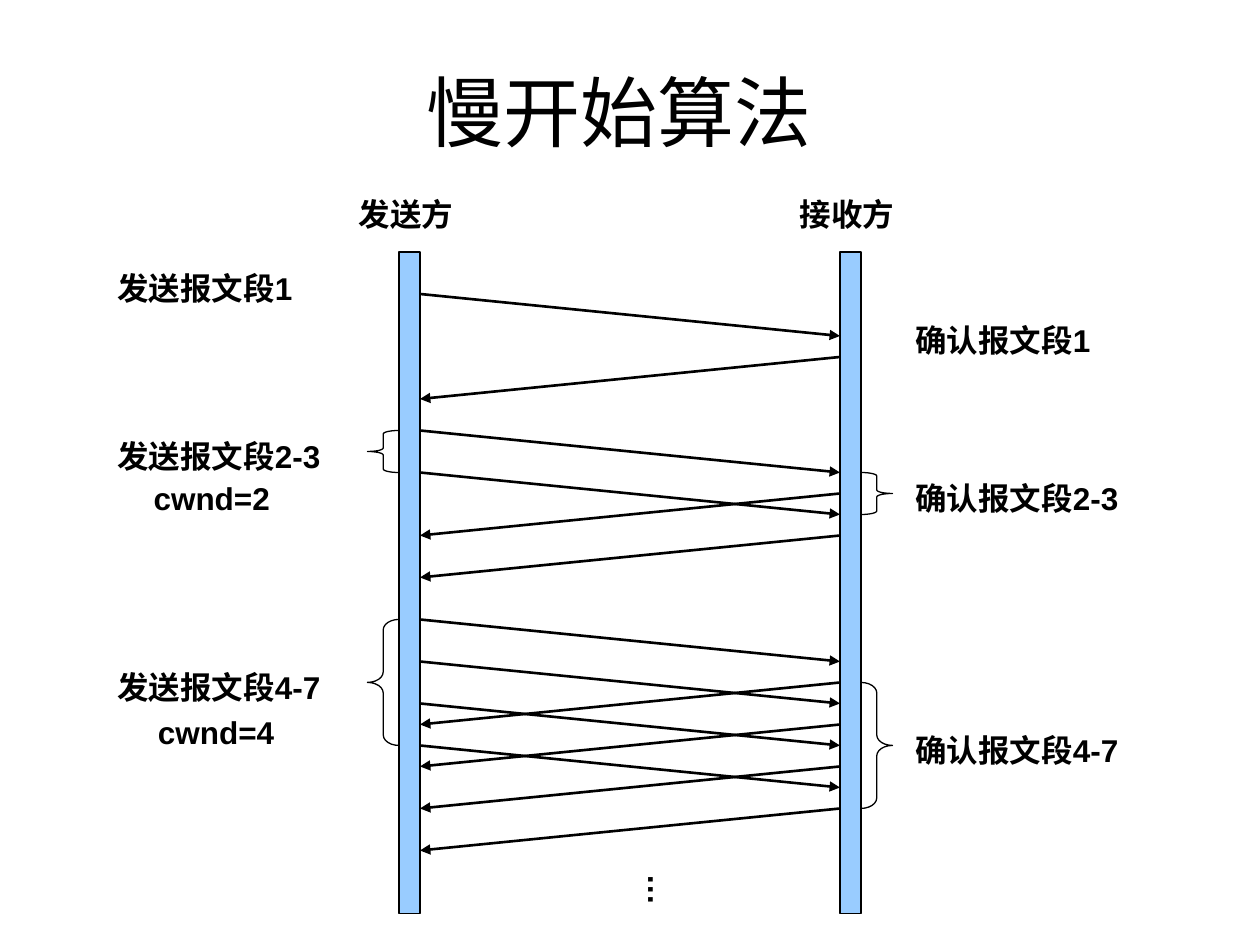
from dataclasses import dataclass

from lxml.etree import SubElement
from pptx import Presentation
from pptx.dml.color import RGBColor
from pptx.enum.shapes import MSO_CONNECTOR, MSO_SHAPE
from pptx.enum.text import MSO_ANCHOR, PP_ALIGN
from pptx.oxml.ns import qn
from pptx.util import Pt


@dataclass(frozen=True)
class Theme:
    font: str = "Arial"
    ink: RGBColor = RGBColor(0x00, 0x00, 0x00)
    bar: RGBColor = RGBColor(0x99, 0xCC, 0xFF)
    title_size: int = 44
    label_size: int = 18
    outline: float = 0.75
    arrow: float = 1.5


THEME = Theme()

BAR_WIDTH = 12
BAR_TOP, BAR_HEIGHT = 144, 378
SENDER_X, RECEIVER_X = 228, 480
SENDER_EDGE = SENDER_X + BAR_WIDTH
RECEIVER_EDGE = RECEIVER_X + BAR_WIDTH
STEP = 24  # gap between segments, and the fall of each arrow
ACK_DELAY = 36
BRACE_WIDTH = 18
LABEL_HEIGHT = 29
SEND_LABEL_X, ACK_LABEL_X = 60, 516

# segments, first send, receiver brace top, send label top, ack label top
ROUNDS = [
    ("1", 168, None, 150, 180),
    ("2-3", 246, 270, 246, 270),
    ("4-7", 354, 390, 378, 414),
]


def format_text(text_frame, size, bold, align):
    paragraph = text_frame.paragraphs[0]
    paragraph.alignment = align
    font = paragraph.runs[0].font
    font.name = THEME.font
    font.size = Pt(size)
    font.bold = bold
    font.color.rgb = THEME.ink


def set_title(slide, text):
    title = slide.shapes.title
    title.left, title.top, title.width, title.height = Pt(30), Pt(18), Pt(648), Pt(90)
    title.text_frame.text = text
    title.text_frame.vertical_anchor = MSO_ANCHOR.MIDDLE
    format_text(title.text_frame, THEME.title_size, False, PP_ALIGN.CENTER)


def add_label(slide, text, left, top, width=150, align=PP_ALIGN.LEFT):
    label = slide.shapes.add_textbox(Pt(left), Pt(top), Pt(width), Pt(LABEL_HEIGHT))
    label.text_frame.word_wrap = True
    label.text_frame.text = text
    format_text(label.text_frame, THEME.label_size, True, align)
    return label


def add_outlined(slide, kind, left, top, width, height):
    shape = slide.shapes.add_shape(kind, Pt(left), Pt(top), Pt(width), Pt(height))
    shape.shadow.inherit = False
    shape.line.color.rgb = THEME.ink
    shape.line.width = Pt(THEME.outline)
    return shape


def add_bar(slide, left):
    bar = add_outlined(slide, MSO_SHAPE.RECTANGLE, left, BAR_TOP, BAR_WIDTH, BAR_HEIGHT)
    bar.fill.solid()
    bar.fill.fore_color.rgb = THEME.bar


def add_brace(slide, kind, left, top, height):
    brace = add_outlined(slide, kind, left, top, BRACE_WIDTH, height)
    brace.fill.background()
    brace.adjustments[0] = height / 216  # taller braces get rounder corners


def add_arrow(slide, start_x, end_x, top):
    arrow = slide.shapes.add_connector(
        MSO_CONNECTOR.STRAIGHT, Pt(start_x), Pt(top), Pt(end_x), Pt(top + STEP)
    )
    arrow.line.color.rgb = THEME.ink
    arrow.line.width = Pt(THEME.arrow)
    properties = arrow.element.spPr
    SubElement(properties.find(qn("a:ln")), qn("a:tailEnd"), type="triangle")
    SubElement(properties, qn("a:effectLst"))


def add_round(slide, index, segments, first_send, ack_brace, send_label, ack_label):
    """Draw one doubling round: its arrows, braces and two labels."""
    count = 2 ** index
    for number in range(count):
        send = first_send + number * STEP
        add_arrow(slide, SENDER_EDGE, RECEIVER_X, send)
        add_arrow(slide, RECEIVER_X, SENDER_EDGE, send + ACK_DELAY)
    if count > 1:
        height = (count - 1) * STEP
        add_brace(slide, MSO_SHAPE.LEFT_BRACE, SENDER_X - BRACE_WIDTH, first_send, height)
        add_brace(slide, MSO_SHAPE.RIGHT_BRACE, RECEIVER_EDGE, ack_brace, height)
    add_label(slide, f"发送报文段{segments}", SEND_LABEL_X, send_label)
    add_label(slide, f"确认报文段{segments}", ACK_LABEL_X, ack_label)


def main():
    presentation = Presentation()
    presentation.slide_width, presentation.slide_height = Pt(720), Pt(540)
    slide = presentation.slides.add_slide(presentation.slide_layouts[5])
    set_title(slide, "慢开始算法")
    for name, bar_x, label_x in [("发送方", SENDER_X, 198), ("接收方", RECEIVER_X, 450)]:
        add_bar(slide, bar_x)
        add_label(slide, name, label_x, 108, width=72)
    for index, values in enumerate(ROUNDS):
        add_round(slide, index, *values)
    for text, left, top in [("cwnd=2", 56, 270), ("cwnd=4", 58.5, 404)]:
        add_label(slide, text, left, top, width=130, align=PP_ALIGN.CENTER)
    add_label(slide, "…", 348, 492, width=36).rotation = 270
    presentation.save("out.pptx")


if __name__ == "__main__":
    main()
